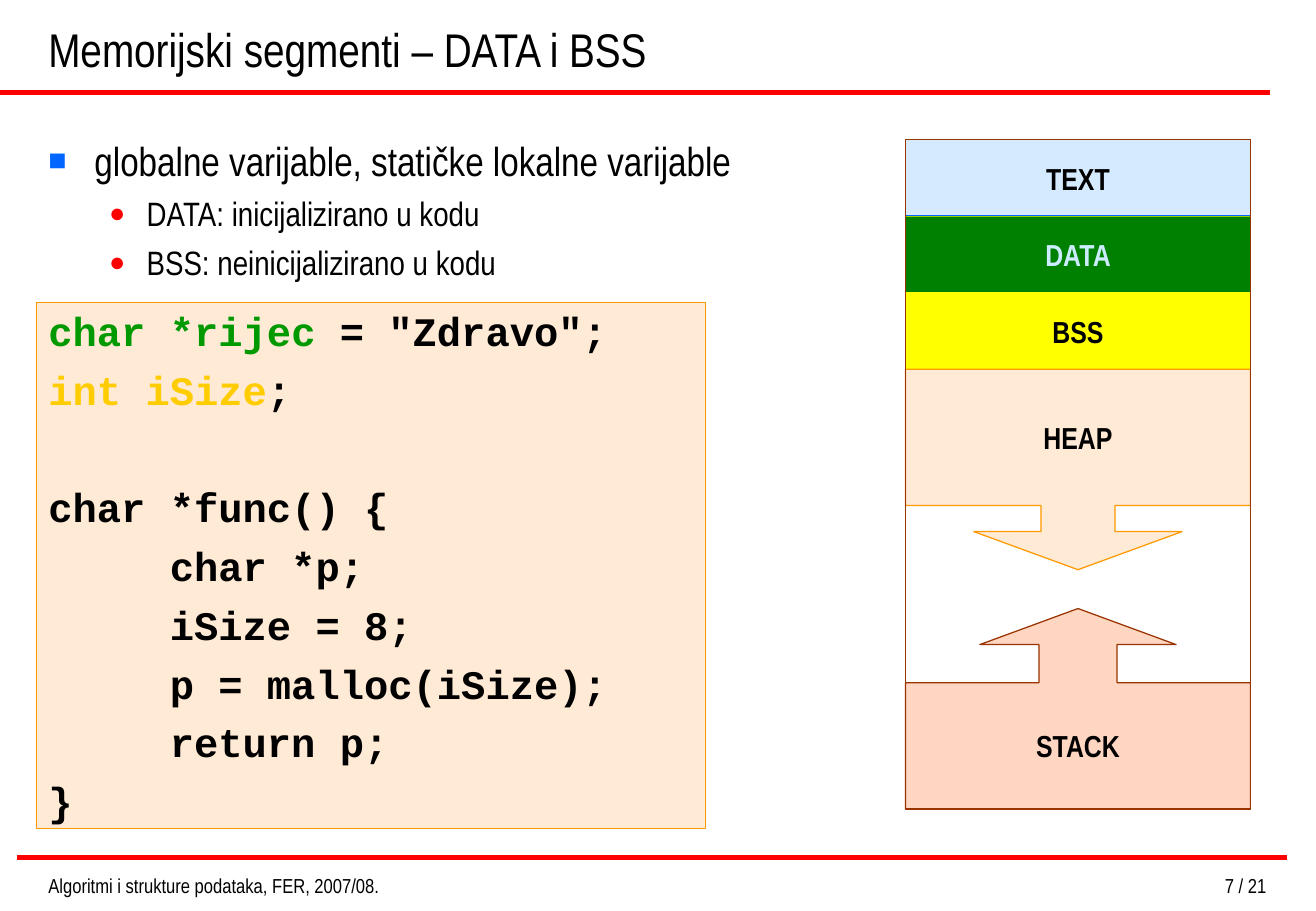
from lxml.etree import SubElement
from pptx import Presentation
from pptx.dml.color import RGBColor
from pptx.enum.shapes import MSO_CONNECTOR, MSO_SHAPE
from pptx.enum.text import MSO_ANCHOR, PP_ALIGN
from pptx.oxml.ns import qn
from pptx.util import Inches, Pt

COLORS = {
    "text": "000000", "rule": "FF0000", "square": "0066FF", "dot": "FF0000",
    "text_fill": "99CCFF", "text_line": "0066FF",
    "data_fill": "008000", "data_line": "99CC00", "data_label": "CCECFF",
    "bss": "FFFF00", "heap_fill": "FFCC99", "heap_line": "FF9900",
    "stack_fill": "FF9966", "stack_line": "993300",
    "code_data": "009900", "code_bss": "FFCC00",
}
NARROW = "Arial Narrow"
FORMATS = {
    "title": {"name": NARROW, "size": Pt(28)},
    "topic": {"name": NARROW, "size": Pt(24)},
    "detail": {"name": NARROW, "size": Pt(20)},
    "segment": {"name": NARROW, "size": Pt(18), "bold": True},
    "code": {"name": "Courier New", "size": Pt(24), "bold": True},
    "footer": {"name": NARROW, "size": Pt(12)},
}
BULLETS = {
    "topic": ("■", "square", 75, 0.38, 0.38),
    "detail": ("●", "dot", 80, 0.81, 0.31),
}
MEMORY_LEFT, MEMORY_TOP, MEMORY_WIDTH, MEMORY_HEIGHT = 7.46, 1.15, 2.84, 5.51
SEGMENT_HEIGHT, GROWING_HEIGHT = 0.63, 1.65


def rgb(color):
    return RGBColor.from_string(COLORS[color])


def add_rule(slide, left, top):
    rule = slide.shapes.add_connector(
        MSO_CONNECTOR.STRAIGHT, Inches(left), Inches(top), Inches(left + 10.46), Inches(top))
    rule.line.color.rgb = rgb("rule")
    rule.line.width = Pt(3)
    SubElement(rule._element.spPr, qn("a:effectLst"))


def write(paragraph, text, style, color="text"):
    run = paragraph.add_run()
    run.text = text
    for attribute, value in FORMATS[style].items():
        setattr(run.font, attribute, value)
    run.font.color.rgb = rgb(color)


def add_bullet(paragraph, style):
    symbol, color, percent, margin, hanging = BULLETS[style]
    properties = paragraph._p.get_or_add_pPr()
    properties.set("marL", str(Inches(margin)))
    properties.set("indent", str(-Inches(hanging)))
    bullet_color = SubElement(properties, qn("a:buClr"))
    SubElement(bullet_color, qn("a:srgbClr"), val=COLORS[color])
    SubElement(properties, qn("a:buSzPct"), val=str(percent * 1000))
    SubElement(properties, qn("a:buFont"), typeface="Arial")
    SubElement(properties, qn("a:buChar"), char=symbol)


def add_code_tab(paragraph):
    tabs = SubElement(paragraph._p.get_or_add_pPr(), qn("a:tabLst"))
    SubElement(tabs, qn("a:tab"), pos=str(Inches(1)), algn="l")


def add_text(slide, box, text, style, align=PP_ALIGN.LEFT, anchor=MSO_ANCHOR.TOP):
    frame = slide.shapes.add_textbox(*map(Inches, box)).text_frame
    frame.word_wrap = True
    frame.vertical_anchor = anchor
    frame.paragraphs[0].alignment = align
    write(frame.paragraphs[0], text, style)


def add_topics(slide, topics):
    frame = slide.shapes.add_textbox(
        Inches(0.3), Inches(1.07), Inches(6.8), Inches(1.4)).text_frame
    frame.word_wrap = True
    for index, (text, style) in enumerate(topics):
        paragraph = frame.add_paragraph() if index else frame.paragraphs[0]
        if index:
            paragraph.space_before = Pt(5)
            paragraph.level = 1
        add_bullet(paragraph, style)
        write(paragraph, text, style)


def add_block(slide, kind, box, fill, line, alpha=None):
    block = slide.shapes.add_shape(kind, *map(Inches, box))
    block.shadow.inherit = False
    block.line.color.rgb = rgb(line)
    block.line.width = Pt(0.75)
    if fill:
        block.fill.solid()
        block.fill.fore_color.rgb = rgb(fill)
    else:
        block.fill.background()
    if alpha:
        fill_color = block._element.spPr.find(qn("a:solidFill")).find(qn("a:srgbClr"))
        SubElement(fill_color, qn("a:alpha"), val=str(alpha * 1000))
    block.text_frame.vertical_anchor = MSO_ANCHOR.MIDDLE
    block.text_frame.word_wrap = False
    return block


def add_segment(slide, label, top, height, fill, line, alpha=None, color="text",
                kind=MSO_SHAPE.RECTANGLE, adjustments=()):
    segment = add_block(
        slide, kind, (MEMORY_LEFT, top, MEMORY_WIDTH, height), fill, line, alpha)
    for index, value in enumerate(adjustments):
        segment.adjustments[index] = value
    paragraph = segment.text_frame.paragraphs[0]
    paragraph.alignment = PP_ALIGN.CENTER
    write(paragraph, label, "segment", color)


def add_memory(slide):
    fixed_segments = [
        ("TEXT", "text_fill", "text_line", 40, "text"),
        ("DATA", "data_fill", "data_line", None, "data_label"),
        ("BSS", "bss", "bss", None, "text"),
    ]
    for index, (label, *look) in enumerate(fixed_segments):
        add_segment(slide, label, MEMORY_TOP + index * SEGMENT_HEIGHT, SEGMENT_HEIGHT, *look)
    heap_top = MEMORY_TOP + len(fixed_segments) * SEGMENT_HEIGHT
    stack_top = MEMORY_TOP + MEMORY_HEIGHT - GROWING_HEIGHT
    add_segment(slide, "HEAP", heap_top, GROWING_HEIGHT, "heap_fill", "heap_line", 40,
                kind=MSO_SHAPE.DOWN_ARROW_CALLOUT, adjustments=(0.37, 0.52, 0.19, 0.68))
    add_segment(slide, "STACK", stack_top, GROWING_HEIGHT, "stack_fill", "stack_line", 40,
                kind=MSO_SHAPE.UP_ARROW_CALLOUT, adjustments=(0.39, 0.49, 0.18, 0.63))
    add_block(slide, MSO_SHAPE.RECTANGLE,
              (MEMORY_LEFT, MEMORY_TOP, MEMORY_WIDTH, MEMORY_HEIGHT), None, "stack_line")


def add_code(slide, lines):
    panel = add_block(slide, MSO_SHAPE.RECTANGLE, (0.3, 2.49, 5.51, 4.33),
                      "heap_fill", "heap_line", 40)
    frame = panel.text_frame
    for index, (gap, parts) in enumerate(lines):
        paragraph = frame.add_paragraph() if index else frame.paragraphs[0]
        paragraph.alignment = PP_ALIGN.LEFT
        paragraph.space_before = Pt(gap)
        add_code_tab(paragraph)
        for text, color in parts:
            write(paragraph, text, "code", color)


def main():
    presentation = Presentation()
    presentation.slide_width = Inches(10.84)
    presentation.slide_height = Inches(7.5)
    slide = presentation.slides.add_slide(presentation.slide_layouts[6])

    add_rule(slide, 0, 0.76)
    add_rule(slide, 0.14, 7.06)
    add_text(slide, (0.3, 0, 10.16, 0.68), "Memorijski segmenti – DATA i BSS", "title",
             anchor=MSO_ANCHOR.BOTTOM)
    add_topics(slide, [
        ("globalne varijable, statičke lokalne varijable", "topic"),
        ("DATA: inicijalizirano u kodu", "detail"),
        ("BSS: neinicijalizirano u kodu", "detail"),
    ])
    add_memory(slide)

    line_gap, section_gap = 6, 40.8
    function_body = ["\tchar *p;", "\tiSize = 8;", "\tp = malloc(iSize);", "\treturn p;", "}"]
    add_code(slide, [
        (0, [("char *rijec", "code_data"), (' = "Zdravo";', "text")]),
        (line_gap, [("int iSize", "code_bss"), (";", "text")]),
        (section_gap, [("char *func() {", "text")]),
        *[(line_gap, [(statement, "text")]) for statement in function_body],
    ])

    add_text(slide, (0.3, 7.14, 3.78, 0.24),
             "Algoritmi i strukture podataka, FER, 2007/08.", "footer")
    add_text(slide, (7.76, 7.14, 2.77, 0.24), "7 / 21", "footer", PP_ALIGN.RIGHT)
    presentation.save("out.pptx")


if __name__ == "__main__":
    main()
